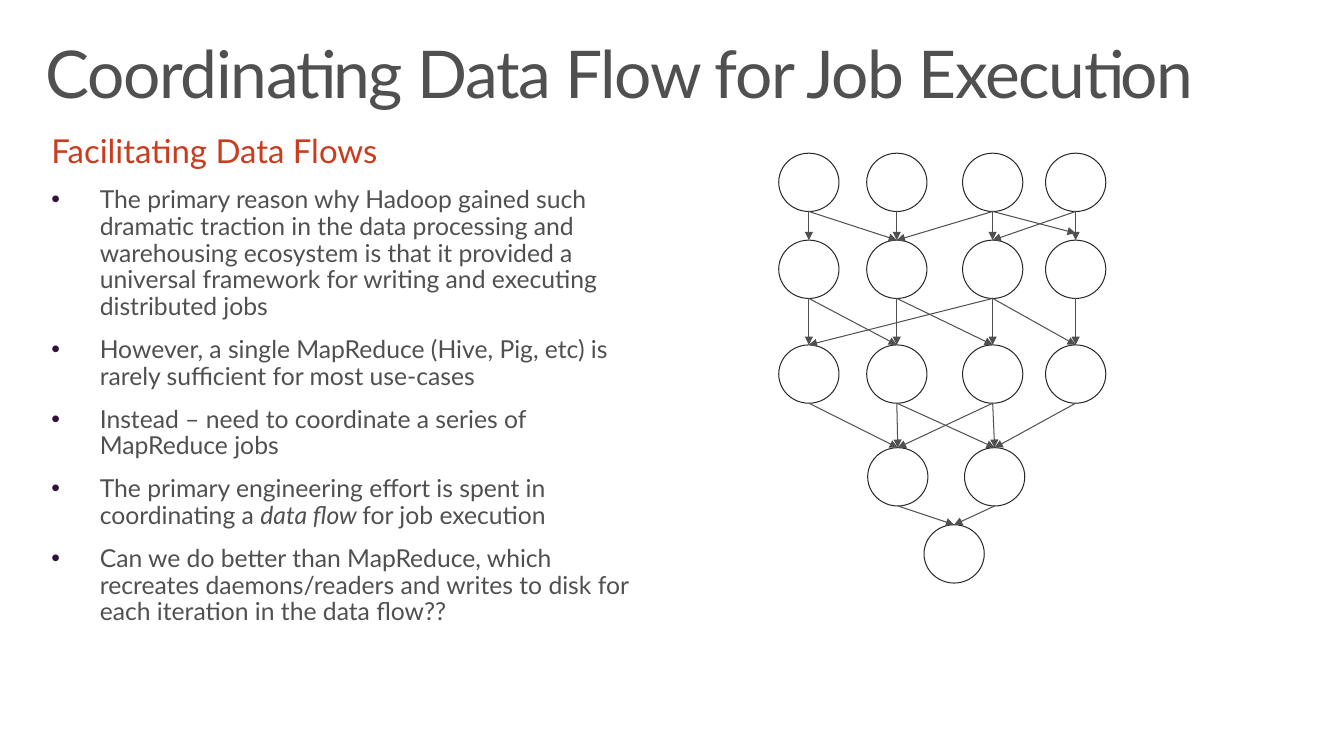
import pptx
import pptx.dml.color
import pptx.enum.shapes
import pptx.enum.text
import pptx.oxml.ns
import pptx.util
from lxml import etree
from pptx.util import Inches

CIRCLE_WIDTH, CIRCLE_HEIGHT = 0.61, 0.59
COLUMNS = [7.88, 8.77, 9.74, 10.58]
# Each row of jobs: top edge and left edges of its circles
JOB_ROWS = [
    (1.55, COLUMNS),
    (2.43, COLUMNS),
    (3.49, COLUMNS),
    (4.53, [8.78, 9.76]),
    (5.31, [9.35]),
]
# For each job of a row, the jobs of the next row that it feeds
FLOWS = [
    [[0, 1], [1], [1, 2, 3], [2, 3]],
    [[0, 1], [1, 2], [0, 2, 3], [3]],
    [[0], [0, 1], [0, 1], [1]],
    [[0], [0]],
]
SHORT_FLOW = (0, 2, 3)  # row, source, target of the arrow that stops above its circle
SHORT_FLOW_END = 2.36

BULLETS = [
    ["The primary reason why Hadoop gained such dramatic traction in the data "
     "processing and warehousing ecosystem is that it provided a universal "
     "framework for writing and executing distributed jobs"],
    ["However, a single MapReduce (Hive, Pig, etc) is rarely sufficient for most use-cases"],
    ["Instead – need to coordinate a series of MapReduce jobs"],
    ["The primary engineering effort is spent in coordinating a ", "data flow ",
     "for job execution"],
    ["Can we do better than MapReduce, which recreates daemons/readers and writes "
     "to disk for each iteration in the data flow??"],
]


def rgb(hex_color):
    return pptx.dml.color.RGBColor.from_string(hex_color)


def add_element(parent, tag, **attributes):
    return etree.SubElement(parent, pptx.oxml.ns.qn(tag), attributes)


def add_text(paragraph, text, size=18, color="505050", italic=False, spacing=None):
    run = paragraph.add_run()
    run.text = text
    run.font.name = SlideBuilder.FONT
    run.font.size = pptx.util.Pt(size)
    run.font.color.rgb = rgb(color)
    run.font.italic = italic
    if spacing is not None:
        run.font._element.set("spc", str(int(spacing * 100)))


class SlideBuilder:
    FONT = "Lato"
    ACCENT = "CB3B1D"
    BULLET = "34103D"
    OUTLINE = "282828"
    ARROW = "505050"
    LINE_WIDTH = pptx.util.Pt(0.75)

    def __init__(self, slide):
        self.slide = slide

    def place(self, placeholder, box, insets):
        """Moves a placeholder and returns its text frame, anchored at the top."""
        placeholder.left, placeholder.top, placeholder.width, placeholder.height = map(Inches, box)
        frame = placeholder.text_frame
        frame.word_wrap = True
        frame.auto_size = pptx.enum.text.MSO_AUTO_SIZE.NONE
        frame.vertical_anchor = pptx.enum.text.MSO_ANCHOR.TOP
        (frame.margin_left, frame.margin_top,
         frame.margin_right, frame.margin_bottom) = map(Inches, insets)
        return frame

    def title(self, text):
        frame = self.place(self.slide.shapes.title, (0.3, 0.32, 13, 1), (0.16, 0.1, 0.16, 0.1))
        paragraph = frame.paragraphs[0]
        paragraph.alignment = pptx.enum.text.PP_ALIGN.LEFT
        paragraph.line_spacing = 0.9
        add_text(paragraph, text, size=48, spacing=-1)

    def format_paragraph(self, paragraph, margin, indent, bullet=None, space_before=5.9):
        paragraph.level = 1
        properties = paragraph._p.get_or_add_pPr()
        properties.set("marL", str(Inches(margin)))
        properties.set("indent", str(Inches(indent)))
        if bullet:
            bullet_color = add_element(properties, "a:buClr")
            add_element(bullet_color, "a:srgbClr", val=self.BULLET)
            add_element(properties, "a:buFont", typeface="Arial")
            add_element(properties, "a:buChar", char=bullet)
        else:
            add_element(properties, "a:buNone")
        paragraph.alignment = pptx.enum.text.PP_ALIGN.LEFT
        paragraph.line_spacing = 0.9
        paragraph.space_before = pptx.util.Pt(space_before)
        paragraph.space_after = pptx.util.Pt(6)

    def body(self, heading, bullets):
        frame = self.place(self.slide.placeholders[1], (0, 1.32, 6.62, 6.89),
                           (0.4, 0.05, 0.1, 0.05))
        paragraph = frame.paragraphs[0]
        self.format_paragraph(paragraph, 0.12, 0, space_before=0)
        add_text(paragraph, heading, size=24, color=self.ACCENT)
        for parts in bullets:
            paragraph = frame.add_paragraph()
            self.format_paragraph(paragraph, 0.61, -0.49, bullet="•")
            for part in parts:
                add_text(paragraph, part, italic=part == "data flow ")

    def circle(self, left, top):
        shape = self.slide.shapes.add_shape(
            pptx.enum.shapes.MSO_SHAPE.OVAL, Inches(left), Inches(top),
            Inches(CIRCLE_WIDTH), Inches(CIRCLE_HEIGHT))
        shape.shadow.inherit = False
        shape.fill.solid()
        shape.fill.fore_color.rgb = rgb("FFFFFF")
        shape.line.color.rgb = rgb(self.OUTLINE)
        shape.line.width = self.LINE_WIDTH
        return shape

    def arrow(self, source, target, end_top=None):
        """Runs from the bottom of source to the top of target, or stops at end_top."""
        connector = self.slide.shapes.add_connector(
            pptx.enum.shapes.MSO_CONNECTOR.STRAIGHT,
            source.left + source.width // 2, source.top + source.height,
            target.left + target.width // 2,
            target.top if end_top is None else Inches(end_top))
        if end_top is None:
            connector.end_connect(target, 0)
        connector.line.color.rgb = rgb(self.ARROW)
        connector.line.width = self.LINE_WIDTH
        add_element(connector.line._get_or_add_ln(), "a:tailEnd", type="triangle")
        add_element(connector._element.spPr, "a:effectLst")

    def job_graph(self):
        rows = [[self.circle(left, top) for left in lefts] for top, lefts in JOB_ROWS]
        for row, flows in enumerate(FLOWS):
            for source, targets in enumerate(flows):
                for target in targets:
                    is_short = (row, source, target) == SHORT_FLOW
                    self.arrow(rows[row][source], rows[row + 1][target],
                               SHORT_FLOW_END if is_short else None)


def main():
    presentation = pptx.Presentation()
    presentation.slide_width = Inches(13.6)
    presentation.slide_height = Inches(7.65)
    builder = SlideBuilder(presentation.slides.add_slide(presentation.slide_layouts[1]))
    builder.title("Coordinating Data Flow for Job Execution")
    builder.body("Facilitating Data Flows", BULLETS)
    builder.job_graph()
    presentation.save("out.pptx")


if __name__ == "__main__":
    main()
